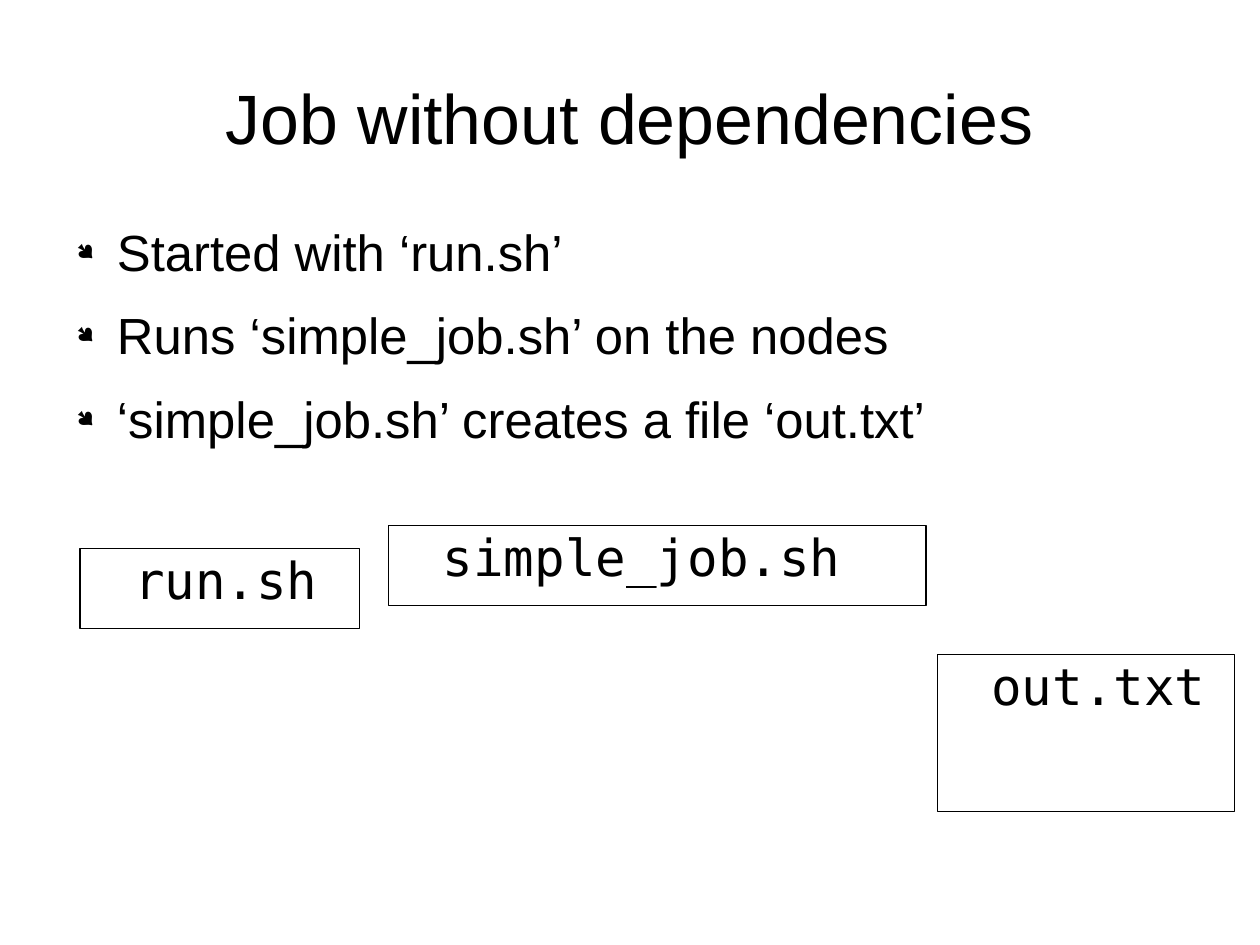
from lxml.etree import SubElement as Sub
from pptx import Presentation as Deck
from pptx.dml.color import RGBColor as Rgb
from pptx.enum.shapes import MSO_SHAPE as Kind
from pptx.enum.text import MSO_ANCHOR as Anchor, PP_ALIGN as Align
from pptx.oxml.ns import qn
from pptx.util import Cm, Pt

COLORS = {"ink": "000000", "paper": "FFFFFF"}
FRAME = {"margin_left": 0, "margin_top": 0, "margin_right": 0,
         "margin_bottom": 0, "word_wrap": True}
SANS = {"name": "Arial", "size": Pt(32), "bold": False}
MONO = {**SANS, "name": "DejaVu Sans Mono"}
HEAD = {**SANS, "size": Pt(44)}

POINTS = [
    "Started with ‘run.sh’",
    "Runs ‘simple_job.sh’ on the nodes",
    "‘simple_job.sh’ creates a file ‘out.txt’",
]
FILES = [
    ("run.sh", (1.78, 12.19, 6.22, 1.78)),
    ("simple_job.sh", (8.64, 11.68, 11.94, 1.78)),
    ("out.txt", (20.83, 14.55, 6.6, 3.48)),
]


def color(name):
    return Rgb.from_string(COLORS[name])


def apply(item, values):
    for key, value in values.items():
        setattr(item, key, value)


def lengths(box):
    return [Cm(side) for side in box]


def write(para, text, font, align=Align.LEFT):
    run = para.add_run()
    run.text = text
    apply(run.font, font)
    run.font.color.rgb = color("ink")
    para.alignment = align


def indent(para, first):
    para.space_before = Pt(14.2)
    props = para._p.get_or_add_pPr()
    props.set("marL", str(Cm(1.2)))
    props.set("indent", str(Cm(first)))
    return props


def bullet(para):
    props = indent(para, -0.9)
    tint = Sub(props, qn("a:buClr"))
    Sub(tint, qn("a:srgbClr"), val=COLORS["ink"])
    Sub(props, qn("a:buSzPct"), val="45000")
    Sub(props, qn("a:buFont"), typeface="Wingdings", charset="2")
    Sub(props, qn("a:buChar"), char="●")


def add_title(slide, text, box):
    title = slide.shapes.title
    apply(title, dict(zip(("left", "top", "width", "height"), lengths(box))))
    frame = title.text_frame
    apply(frame, {**FRAME, "vertical_anchor": Anchor.MIDDLE})
    write(frame.paragraphs[0], text, HEAD, Align.CENTER)


def add_list(slide, points, box):
    frame = slide.shapes.add_textbox(*lengths(box)).text_frame
    apply(frame, FRAME)
    for num, text in enumerate(points):
        para = frame.add_paragraph() if num else frame.paragraphs[0]
        bullet(para)
        write(para, text, SANS)


def add_file(slide, name, box):
    shape = slide.shapes.add_shape(Kind.RECTANGLE, *lengths(box))
    shape.shadow.inherit = False
    shape.fill.solid()
    shape.fill.fore_color.rgb = color("paper")
    shape.line.color.rgb = color("ink")
    shape.line.width = Pt(0)
    frame = shape.text_frame
    apply(frame, {**FRAME, "vertical_anchor": Anchor.TOP})
    para = frame.paragraphs[0]
    indent(para, 0)
    write(para, name, MONO)


def main():
    deck = Deck()
    apply(deck, {"slide_width": Cm(28), "slide_height": Cm(21)})
    slide = deck.slides.add_slide(deck.slide_layouts[5])
    add_title(slide, "Job without dependencies", (1.4, 0.84, 25.2, 3.5))
    add_list(slide, POINTS, (1.4, 4.9, 25.2, 12.17))
    for name, box in FILES:
        add_file(slide, name, box)
    deck.save("out.pptx")


if __name__ == "__main__":
    main()
